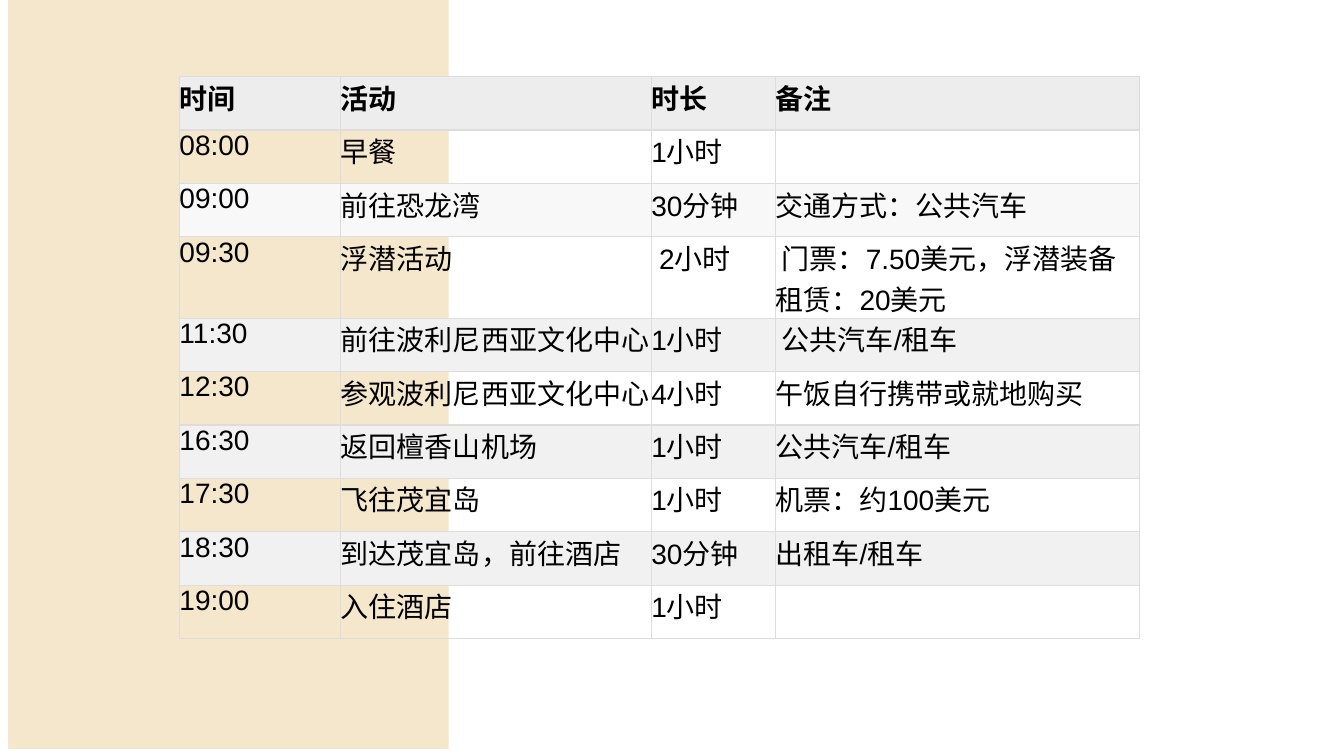
from lxml import etree
from pptx import Presentation, util as u
from pptx.dml.color import RGBColor
from pptx.enum import shapes
from pptx.oxml.ns import qn

COLORS = {
    "panel": "F5E7CC",
    "header": "EDEDED",
    "light": "F8F8F8",
    "band": "F1F1F1",
    "border": "DDDDDD",
    "text": "000000",
}
SCHEDULE = [
    ("时间", "活动", "时长", "备注"),
    ("08:00", "早餐", "1小时", ""),
    ("09:00", "前往恐龙湾", "30分钟", "交通方式：公共汽车"),
    ("09:30", "浮潜活动", " 2小时", " 门票：7.50美元，浮潜装备租赁：20美元"),
    ("11:30", "前往波利尼西亚文化中心", "1小时", " 公共汽车/租车"),
    ("12:30", "参观波利尼西亚文化中心", "4小时", "午饭自行携带或就地购买"),
    ("16:30", "返回檀香山机场", "1小时", "公共汽车/租车"),
    ("17:30", "飞往茂宜岛", "1小时", "机票：约100美元"),
    ("18:30", "到达茂宜岛，前往酒店", "30分钟", "出租车/租车"),
    ("19:00", "入住酒店", "1小时", ""),
]
COLUMN_WIDTHS = [1.6, 3.08, 1.23, 3.61]
ROW_HEIGHT = 0.53


def write_text(cell, content, size=20, bold=False, color="text"):
    cell.margin_left = cell.margin_right = cell.margin_top = cell.margin_bottom = 0
    if content:
        run = cell.text_frame.paragraphs[0].add_run()
        run.text = content
        run.font.name = "Arial"
        run.font.size = u.Pt(size)
        run.font.bold = bold
        run.font.color.rgb = RGBColor.from_string(COLORS[color])


def add_borders(cell, color="border", width=1):
    properties = cell._tc.get_or_add_tcPr()
    for index, side in enumerate(("lnL", "lnR", "lnT", "lnB")):
        line = etree.Element(qn(f"a:{side}"), w=str(u.Pt(width)))
        fill = etree.SubElement(line, qn("a:solidFill"))
        etree.SubElement(fill, qn("a:srgbClr"), val=COLORS[color])
        properties.insert(index, line)


presentation = Presentation()
presentation.slide_width = u.Inches(13.33)
presentation.slide_height = u.Inches(7.5)
slide = presentation.slides.add_slide(presentation.slide_layouts[6])

panel = slide.shapes.add_shape(
    shapes.MSO_SHAPE.RECTANGLE, u.Inches(0.08), u.Inches(-0.07), u.Inches(4.37), u.Inches(7.5)
)
panel.shadow.inherit = False
panel.fill.solid()
panel.fill.fore_color.rgb = RGBColor.from_string(COLORS["panel"])
panel.line.fill.background()

table = slide.shapes.add_table(
    len(SCHEDULE), len(COLUMN_WIDTHS), u.Inches(1.78), u.Inches(0.76),
    u.Inches(sum(COLUMN_WIDTHS)), u.Inches(ROW_HEIGHT * len(SCHEDULE)),
).table
table.first_row = False
table.horz_banding = False
for column, width in zip(table.columns, COLUMN_WIDTHS):
    column.width = u.Inches(width)

# Even rows are shaded; the header and the first shaded row have their own tints.
row_tints = {0: "header", 2: "light"}
for row_index, entries in enumerate(SCHEDULE):
    table.rows[row_index].height = u.Inches(ROW_HEIGHT)
    for column_index, entry in enumerate(entries):
        cell = table.cell(row_index, column_index)
        write_text(cell, entry, bold=row_index == 0)
        if row_index % 2 == 0:
            cell.fill.solid()
            tint = row_tints.get(row_index, "band")
            cell.fill.fore_color.rgb = RGBColor.from_string(COLORS[tint])
        else:
            cell.fill.background()
        add_borders(cell)

presentation.save("out.pptx")
